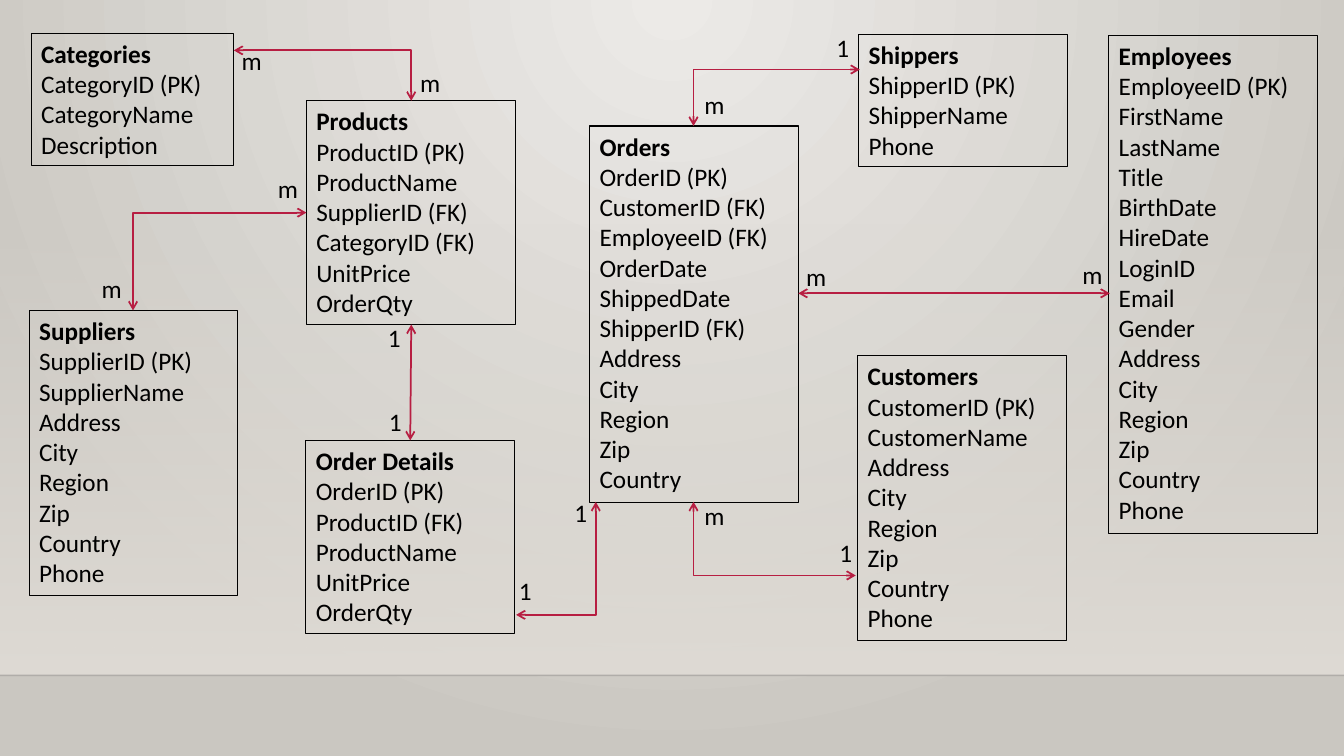
from lxml.etree import SubElement
from pptx import Presentation
from pptx.dml.color import RGBColor
from pptx.enum.dml import MSO_LINE
from pptx.enum.shapes import MSO_CONNECTOR, MSO_SHAPE
from pptx.enum.text import MSO_ANCHOR, MSO_AUTO_SIZE, PP_ALIGN
from pptx.oxml.ns import qn
from pptx.util import Inches, Pt

COLS, ROWS = 133.33, 75
PLACE = ["Address", "City", "Region", "Zip", "Country"]
TABLES = [
    (3.1, 3.3, 20.1, "Categories", ["CategoryID (PK)", "CategoryName", "Description"]),
    (30.4, 10, 20.7, "Products", ["ProductID (PK)", "ProductName", "SupplierID (FK)",
                                  "CategoryID (FK)", "UnitPrice", "OrderQty"]),
    (2.9, 30.8, 20.7, "Suppliers", ["SupplierID (PK)", "SupplierName", *PLACE, "Phone"]),
    (30.35, 43.7, 20.7, "Order Details", ["OrderID (PK)", "ProductID (FK)", "ProductName",
                                          "UnitPrice", "OrderQty"]),
    (85.1, 35.3, 20.7, "Customers", ["CustomerID (PK)", "CustomerName", *PLACE, "Phone"]),
    (110, 3.5, 20.7, "Employees", ["EmployeeID (PK)", "FirstName", "LastName", "Title",
                                   "BirthDate", "HireDate", "LoginID", "Email", "Gender",
                                   *PLACE, "Phone"]),
    (58.5, 12.5, 20.7, "Orders", ["OrderID (PK)", "CustomerID (FK)", "EmployeeID (FK)",
                                  "OrderDate", "ShippedDate", "ShipperID (FK)", *PLACE]),
    (85.2, 3.4, 20.7, "Shippers", ["ShipperID (PK)", "ShipperName", "Phone"]),
]
LINKS = [
    ((23.2, 5), (40.8, 10), [("m", 23, 4), ("m", 40.7, 6.2)]),
    ((30.4, 21.1), (13.2, 30.8), [("m", 9.1, 26.6), ("m", 26.6, 16.7)]),
    ((40.8, 32.2), (40.7, 43.7), [("1", 37.5, 31.5), ("1", 37.6, 39.8)]),
    ((51.2, 61), (59.1, 49.8), [("1", 56, 48.8), ("1", 50.5, 56.6)]),
    ((85.3, 6.9), (68.8, 12.5), [("m", 68.9, 8.4), ("1", 82, 2.7)]),
    ((84.9, 57.1), (68.8, 49.8), [("1", 82.3, 52.8), ("m", 68.9, 49.1)]),
    ((79.2, 29.1), (110.1, 29.1), [("m", 79, 25.4), ("m", 106.4, 25.2)]),
]


def color(code):
    return RGBColor.from_string(code)


class Board:
    """Style and current slide, measured in grid columns and rows."""

    font, size, ink, red = "Calibri", Pt(18), "000000", "B71E42"
    cell, step, pad = Inches(0.1), 3.03, 1

    def __init__(self, deck):
        """Add a blank slide to the deck."""
        self.slide = deck.slides.add_slide(deck.slide_layouts[6])
        self.shapes = self.slide.shapes

    def span(self, *cells):
        """Turn grid cells into lengths."""
        return [round(n * self.cell) for n in cells]

    def blend(self, fill, *codes):
        """Set a two-stop gradient."""
        fill.gradient()
        for stop, pos, code in zip(fill.gradient_stops, (0, 1), codes):
            stop.position = pos
            stop.color.rgb = color(code)

    def fade(self, node, share):
        """Set the opacity of the first colour in a node."""
        tint = next(node.iter(qn("a:srgbClr")))
        SubElement(tint, qn("a:alpha")).set("val", str(share * 1000))

    def ground(self, *codes):
        """Paint the background as a glow from the top centre."""
        self.blend(self.slide.background.fill, *codes)
        grad = next(self.slide.element.iter(qn("a:gradFill")))
        grad.remove(grad.find(qn("a:lin")))
        glow = SubElement(grad, qn("a:path"), {"path": "circle"})
        sides = {"l": "43000", "t": "0", "r": "43000", "b": "100000"}
        SubElement(glow, qn("a:fillToRect"), sides)

    def block(self, x, y, wide, high):
        """Add a plain rectangle."""
        shape = self.shapes.add_shape(MSO_SHAPE.RECTANGLE, *self.span(x, y, wide, high))
        shape.shadow.inherit = False
        return shape

    def band(self, top, base, code):
        """Add a wide band that fades in downwards."""
        shape = self.block(0, top, COLS, base - top)
        self.blend(shape.fill, code, code)
        shape.fill.gradient_angle = 270
        self.fade(shape.element.spPr, 0)
        shape.line.fill.background()

    def label(self, shape, rows, wrap):
        """Set and format rows of text."""
        frame = shape.text_frame
        frame.text = "\n".join(rows)
        frame.word_wrap = wrap
        frame.auto_size = MSO_AUTO_SIZE.SHAPE_TO_FIT_TEXT
        frame.vertical_anchor = MSO_ANCHOR.TOP
        for para in frame.paragraphs:
            para.alignment = PP_ALIGN.LEFT
            for run in para.runs:
                run.font.name, run.font.size = self.font, self.size
                run.font.color.rgb = color(self.ink)
        return frame

    def table(self, x, y, wide, name, fields):
        """Add a framed entity with a bold name."""
        rows = [name, *fields]
        shape = self.block(x, y, wide, self.pad + self.step * len(rows))
        shape.fill.background()
        shape.line.color.rgb = color(self.ink)
        shape.line.width = Pt(0.75)
        frame = self.label(shape, rows, True)
        frame.paragraphs[0].runs[0].font.bold = True

    def tag(self, text, x, y):
        """Add a cardinality label."""
        wide = 4 if text == "m" else 3.3
        self.label(self.shapes.add_textbox(*self.span(x, y, wide, 4)), [text], False)

    def rule(self, start, end, code, width, kind=MSO_CONNECTOR.STRAIGHT):
        """Add a line without shadow."""
        line = self.shapes.add_connector(kind, *self.span(*start, *end))
        line.line.color.rgb = color(code)
        line.line.width = Pt(width)
        line.line.dash_style = MSO_LINE.SOLID
        SubElement(line.element.spPr, qn("a:effectLst"))
        return line

    def link(self, start, end):
        """Add a two-headed arrow, bent when its ends differ both ways."""
        bent = min(abs(a - b) for a, b in zip(start, end)) > 1
        kind = MSO_CONNECTOR.ELBOW if bent else MSO_CONNECTOR.STRAIGHT
        props = self.rule(start, end, self.red, 1.25, kind).element.spPr
        if bent:
            props.find(qn("a:prstGeom")).set("prst", "bentConnector2")
        for side in ("a:headEnd", "a:tailEnd"):
            SubElement(props.find(qn("a:ln")), qn(side), {"type": "arrow"})


def main():
    deck = Presentation()
    deck.slide_width, deck.slide_height = Inches(COLS / 10), Inches(ROWS / 10)
    board = Board(deck)
    board.ground("ECEAE7", "CAC7C1")
    board.band(22.1, 67, "DFDBD5")
    floor = board.rule((0, 67), (COLS, 67), "000001", 1)
    board.fade(floor.element.spPr, 20)
    for entry in TABLES:
        board.table(*entry)
    for start, end, tags in LINKS:
        board.link(start, end)
        for tag in tags:
            board.tag(*tag)
    deck.save("out.pptx")


if __name__ == "__main__":
    main()
